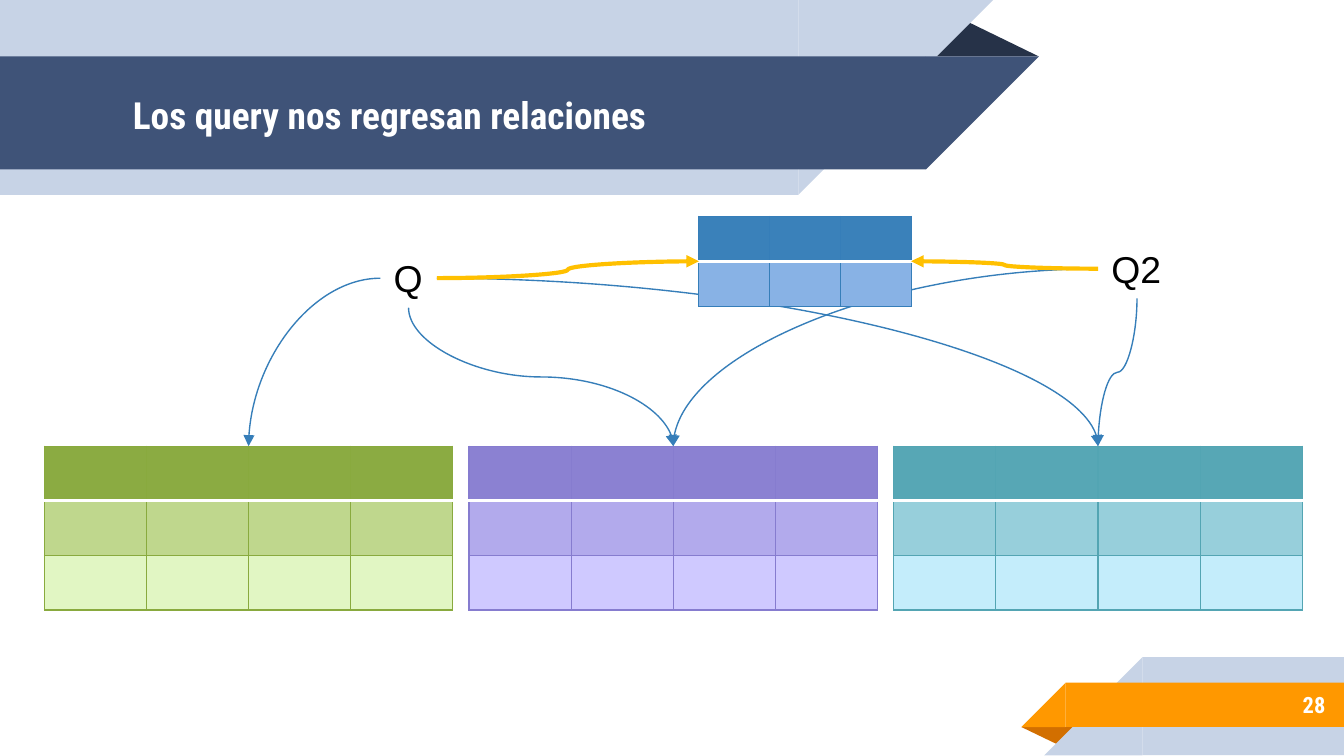
import pptx
import pptx.util
import pptx.dml.color
import pptx.enum.shapes
import pptx.enum.text
import pptx.oxml
import pptx.oxml.ns
from pptx.util import Inches

SHAPE = pptx.enum.shapes.MSO_SHAPE
ALIGN = pptx.enum.text.PP_ALIGN
COLORS = {
    "white": "FFFFFF", "black": "000000", "pale": "C7D3E6", "navy": "3F5378",
    "shade": "263248", "orange": "FF9800", "rust": "D26F00",
    "link": "367EB9", "result": "FFC000",
}
# Border, header, then body rows
TABLES = {
    "green": ("89AA3E", "8BAB42", "BFD78D", "E1F6C3"),
    "purple": ("867CCF", "8B81D2", "B2AAEC", "CFC9FF"),
    "teal": ("53A5B3", "57A7B5", "97CFDB", "C4EDFB"),
    "blue": ("367EB9", "3A81BA", "88B2E5"),
}


def rgb(value):
    return pptx.dml.color.RGBColor.from_string(value)


def add_block(slide, kind, box, color, rotation=0):
    shape = slide.shapes.add_shape(kind, *map(Inches, box))
    shape.shadow.inherit = False
    shape.fill.solid()
    shape.fill.fore_color.rgb = rgb(COLORS[color])
    shape.line.fill.background()
    shape.rotation = rotation
    return shape


def add_text(slide, box, text, size, font, color, bold=False,
             align=ALIGN.LEFT, wrap=True):
    text_box = slide.shapes.add_textbox(*map(Inches, box))
    frame = text_box.text_frame
    frame.word_wrap = wrap
    frame.text = text
    if bold:
        frame.vertical_anchor = pptx.enum.text.MSO_ANCHOR.MIDDLE
    paragraph = frame.paragraphs[0]
    paragraph.alignment = align
    run_font = paragraph.runs[0].font
    run_font.size = pptx.util.Pt(size)
    run_font.name = font
    run_font.bold = bold
    run_font.color.rgb = rgb(COLORS[color])


def add_right_ribbon(slide, left, top, width, height, color):
    """Band whose right end is cut at 45 degrees."""
    body = width - height
    add_block(slide, SHAPE.RECTANGLE, (left, top, body, height), color)
    add_block(slide, SHAPE.RIGHT_TRIANGLE,
              (left + body, top, height, height), color, 90)


def add_left_ribbon(slide, left, top, width, height, color):
    """Band whose left end is cut at 45 degrees."""
    add_block(slide, SHAPE.RECTANGLE,
              (left + height, top, width - height, height), color)
    add_block(slide, SHAPE.RIGHT_TRIANGLE,
              (left, top, height, height), color, 270)


def add_header(slide, left, top, title):
    fold = add_block(slide, SHAPE.ISOSCELES_TRIANGLE,
                     (left + 6.88, top + 0.14, 0.85, 0.28), "shade")
    fold.adjustments[0] = 0.324
    add_right_ribbon(slide, left, top, 7.39, 1.45, "pale")
    add_right_ribbon(slide, left, top + 0.42, 7.73, 0.84, "navy")
    add_text(slide, (left + 0.89, top + 0.43, 6.01, 0.84), title, 20,
             "Roboto Condensed", "white", bold=True)


def add_footer(slide, left, top, number):
    fold = add_block(slide, SHAPE.ISOSCELES_TRIANGLE,
                     (left, top + 0.52, 0.43, 0.14), "rust", 180)
    fold.adjustments[0] = 0.324
    add_left_ribbon(slide, left + 0.17, top, 2.23, 0.73, "pale")
    add_left_ribbon(slide, left, top + 0.19, 2.4, 0.33, "orange")
    add_text(slide, (left + 0.73, top + 0.18, 1.63, 0.35), number, 12,
             "Roboto Condensed", "white", bold=True, align=ALIGN.RIGHT)


def set_border(cell, position, side, color, width):
    line = pptx.oxml.parse_xml(
        f'<a:{side} {pptx.oxml.ns.nsdecls("a")} w="{pptx.util.Pt(width)}">'
        f'<a:solidFill><a:srgbClr val="{color}"/></a:solidFill></a:{side}>')
    cell._tc.get_or_add_tcPr().insert(position, line)


def add_relation(slide, box, columns, palette):
    border, *fills = TABLES[palette]
    frame = slide.shapes.add_table(len(fills), columns, *map(Inches, box))
    table = frame.table
    table.horz_banding = False
    for row, fill in enumerate(fills):
        table.rows[row].height = Inches(box[3] / len(fills))
        for cell in table.rows[row].cells:
            cell.margin_top = cell.margin_bottom = 0
            cell.fill.solid()
            cell.fill.fore_color.rgb = rgb(fill)
            for position, side in enumerate(("lnL", "lnR", "lnT", "lnB")):
                # A white rule parts the header from the body
                if (row, side) in ((0, "lnB"), (1, "lnT")):
                    set_border(cell, position, side, COLORS["white"], 2)
                else:
                    set_border(cell, position, side, border, 0.75)


def add_curve(slide, start, end, color, width, bends=2, downward=False):
    """Curved arrow that leaves sideways, or downward by a quarter turn."""
    (x1, y1), (x2, y2) = start, end
    if downward:
        middle_x, middle_y = (x1 + x2) / 2, (y1 + y2) / 2
        half_x, half_y = (x2 - x1) / 2, (y2 - y1) / 2
        x1, y1 = middle_x - half_y, middle_y + half_x
        x2, y2 = middle_x + half_y, middle_y - half_x
    connector = slide.shapes.add_connector(
        pptx.enum.shapes.MSO_CONNECTOR.CURVE, *map(Inches, (x1, y1, x2, y2)))
    connector.line.color.rgb = rgb(COLORS[color])
    connector.line.width = pptx.util.Pt(width)
    properties = connector._element.spPr
    if downward:
        properties.xfrm.set("rot", "5400000")
    if bends == 1:
        properties.prstGeom.set("prst", "curvedConnector2")
    line = connector.line._get_or_add_ln()
    namespace = pptx.oxml.ns.nsdecls("a")
    line.append(pptx.oxml.parse_xml(f'<a:tailEnd {namespace} type="triangle"/>'))
    properties.append(pptx.oxml.parse_xml(f"<a:effectLst {namespace}/>"))


def add_query_diagram(slide, left, top, width):
    # Source relations in equal columns
    table_width, table_top = 3.04, top + 1.71
    step = (width - table_width) / 2
    targets = []
    for index, palette in enumerate(("green", "purple", "teal")):
        x = left + index * step
        add_relation(slide, (x, table_top, table_width, 1.22), 4, palette)
        targets.append((x + table_width / 2, table_top))
    green, purple, teal = targets

    # Queries
    q_box = (left + 2.5, top + 0.24, 0.42, 0.44)
    q2_box = (left + 7.84, top + 0.17, 0.58, 0.44)
    for box, name in ((q_box, "Q"), (q2_box, "Q2")):
        add_text(slide, box, name, 20, "Arial", "black", wrap=False)
    q_left, q2_left = ((x, y + h / 2) for x, y, w, h in (q_box, q2_box))
    q_bottom, q2_bottom = ((x + w / 2, y + h) for x, y, w, h in (q_box, q2_box))
    q_right = (q_left[0] + q_box[2], q_left[1])

    # Links from each query to the relations it reads
    for start, end in ((q_left, green), (q_right, teal), (q2_left, purple)):
        add_curve(slide, start, end, "link", 0.75, bends=1)
    for start, end in ((q_bottom, purple), (q2_bottom, teal)):
        add_curve(slide, start, end, "link", 0.75, downward=True)

    # Resulting relation
    x, y, w, h = result = (left + 4.87, top, 1.58, 0.67)
    add_relation(slide, result, 3, "blue")
    add_curve(slide, q_right, (x, y + h / 2), "result", 2.25)
    add_curve(slide, q2_left, (x + w, y + h / 2), "result", 2.25)


def main():
    presentation = pptx.Presentation()
    # Widescreen, 16:9
    presentation.slide_width = Inches(10)
    presentation.slide_height = Inches(10 * 9 / 16)
    slide = presentation.slides.add_slide(presentation.slide_layouts[6])
    add_header(slide, 0, 0, "Los query nos regresan relaciones")
    add_footer(slide, 7.6, 4.89, "28")
    add_query_diagram(slide, 0.33, 1.61, 9.36)
    presentation.save("out.pptx")


if __name__ == "__main__":
    main()
